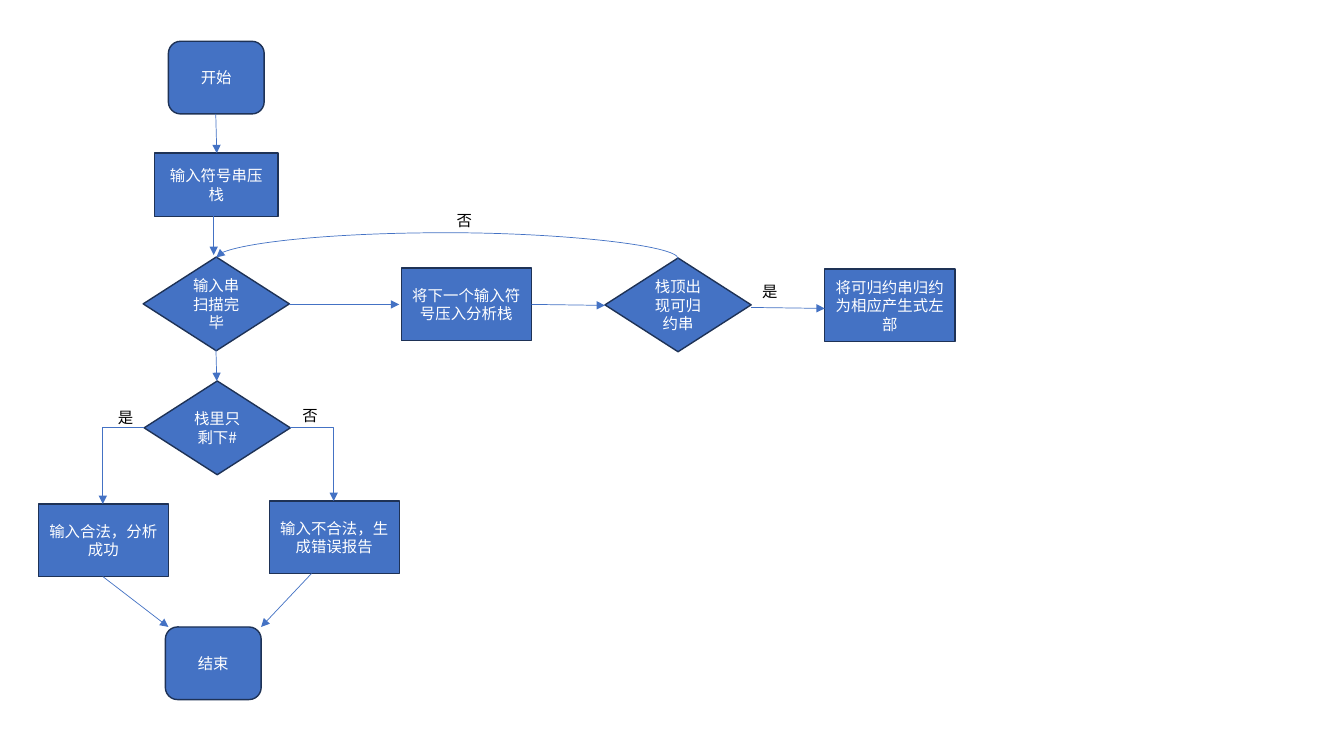
from dataclasses import dataclass

from lxml import etree
from pptx import Presentation
from pptx.dml.color import RGBColor
from pptx.enum.shapes import MSO_CONNECTOR, MSO_SHAPE
from pptx.enum.text import MSO_ANCHOR, MSO_AUTO_SIZE, PP_ALIGN
from pptx.oxml.ns import qn
from pptx.util import Inches, Pt

ROUND = MSO_SHAPE.ROUNDED_RECTANGLE
RECT = MSO_SHAPE.RECTANGLE
DECISION = MSO_SHAPE.FLOWCHART_DECISION
PROCESS = MSO_SHAPE.FLOWCHART_PROCESS
STRAIGHT = MSO_CONNECTOR.STRAIGHT
ELBOW = MSO_CONNECTOR.ELBOW
CURVE = MSO_CONNECTOR.CURVE
CENTER = PP_ALIGN.CENTER
LEFT = PP_ALIGN.LEFT
MIDDLE = MSO_ANCHOR.MIDDLE
TOP = MSO_ANCHOR.TOP
FIT_SHAPE = MSO_AUTO_SIZE.SHAPE_TO_FIT_TEXT

FONT = "Noto Sans CJK SC"
BLUE, NAVY, WHITE, BLACK = "4472C4", "1E3256", "FFFFFF", "000000"
SIZES = {ROUND: (0.95, 0.72), RECT: (1.23, 0.63), DECISION: (1.45, 0.93), PROCESS: (1.29, 0.72)}


@dataclass
class Node:
    kind: MSO_SHAPE
    left: float
    top: float
    text: str


@dataclass
class Link:
    x1: float
    y1: float
    x2: float
    y2: float
    kind: MSO_CONNECTOR = STRAIGHT
    rotation: int = 0
    bend: float = 0


@dataclass
class Label:
    left: float
    top: float
    text: str
    width: float = 0.36
    wrap: bool = False


NODES = [
    Node(ROUND, 1.67, 0.41, "开始"),
    Node(RECT, 1.53, 1.52, "输入符号串压栈"),
    Node(DECISION, 1.42, 2.55, "输入串扫描完毕"),
    Node(DECISION, 6, 2.56, "栈顶出现可归约串"),
    Node(DECISION, 1.43, 3.78, "栈里只剩下#"),
    Node(PROCESS, 2.67, 4.97, "输入不合法，生成错误报告"),
    Node(PROCESS, 0.38, 5, "输入合法，分析成功"),
    Node(PROCESS, 3.98, 2.66, "将下一个输入符号压入分析栈"),
    Node(ROUND, 1.64, 6.22, "结束"),
    Node(PROCESS, 8.18, 2.67, "将可归约串归约为相应产生式左部"),
]
LINKS = [
    Link(2.14, 1.13, 2.15, 1.52),
    Link(2.12, 2.14, 2.12, 2.53),
    Link(2.14, 3.39, 2.15, 3.78),
    Link(1.02, 5, 1.43, 4.24, ELBOW, rotation=180),
    Link(2.88, 4.24, 3.31, 4.97, ELBOW),
    Link(1.02, 5.72, 1.67, 6.22),
    Link(3.09, 5.69, 2.59, 6.22),
    Link(2.87, 3.02, 3.96, 3.02),
    Link(5.27, 3.02, 6, 3.03),
    Link(7.45, 3.05, 8.18, 3.06),
    Link(4.43, 4.85, 4.44, 0.27, CURVE, rotation=270, bend=26),
]
LABELS = [
    Label(1.07, 4, "是"),
    Label(2.9, 3.98, "否", width=6.67, wrap=True),
    Label(7.46, 2.75, "是"),
    Label(4.43, 2.04, "否"),
]


def rgb(value: str) -> RGBColor:
    return RGBColor.from_string(value)


def write(tf, text: str, *, color: str, align=LEFT, anchor=TOP, wrap: bool = True) -> None:
    tf.word_wrap = wrap
    tf.vertical_anchor = anchor
    p = tf.paragraphs[0]
    p.alignment = align
    r = p.add_run()
    r.text = text
    r.font.size = Pt(11)
    r.font.name = FONT
    r.font.color.rgb = rgb(color)
    etree.SubElement(r.font._element, qn("a:ea"), typeface=FONT)


def draw_node(slide, node: Node) -> None:
    width, height = SIZES[node.kind]
    sp = slide.shapes.add_shape(
        node.kind, Inches(node.left), Inches(node.top), Inches(width), Inches(height))
    sp.shadow.inherit = False
    sp.fill.solid()
    sp.fill.fore_color.rgb = rgb(BLUE)
    sp.line.color.rgb = rgb(NAVY)
    sp.line.width = Pt(1)
    write(sp.text_frame, node.text, color=WHITE, align=CENTER, anchor=MIDDLE)


def draw_link(slide, link: Link) -> None:
    cx = slide.shapes.add_connector(
        link.kind, Inches(link.x1), Inches(link.y1), Inches(link.x2), Inches(link.y2))
    cx.line.color.rgb = rgb(BLUE)
    cx.line.width = Pt(0.5)
    props = cx._element.spPr
    etree.SubElement(props.find(qn("a:ln")), qn("a:tailEnd"), type="triangle")
    etree.SubElement(props, qn("a:effectLst"))
    geom = props.find(qn("a:prstGeom"))
    if link.kind == ELBOW:
        geom.set("prst", "bentConnector2")
    if link.rotation:
        props.find(qn("a:xfrm")).set("rot", str(link.rotation * 60000))
    if link.bend:
        guides = geom.find(qn("a:avLst"))
        etree.SubElement(guides, qn("a:gd"), name="adj1", fmla=f"val {link.bend * 100000:.0f}")


def draw_label(slide, label: Label) -> None:
    sp = slide.shapes.add_textbox(
        Inches(label.left), Inches(label.top), Inches(label.width), Inches(0.29))
    write(sp.text_frame, label.text, color=BLACK, wrap=label.wrap)
    sp.text_frame.auto_size = FIT_SHAPE


def main() -> None:
    prs = Presentation()
    prs.slide_width, prs.slide_height = Inches(13.33), Inches(7.5)
    slide = prs.slides.add_slide(prs.slide_layouts[6])
    for node in NODES:
        draw_node(slide, node)
    for link in LINKS:
        draw_link(slide, link)
    for label in LABELS:
        draw_label(slide, label)
    prs.save("out.pptx")


if __name__ == "__main__":
    main()
